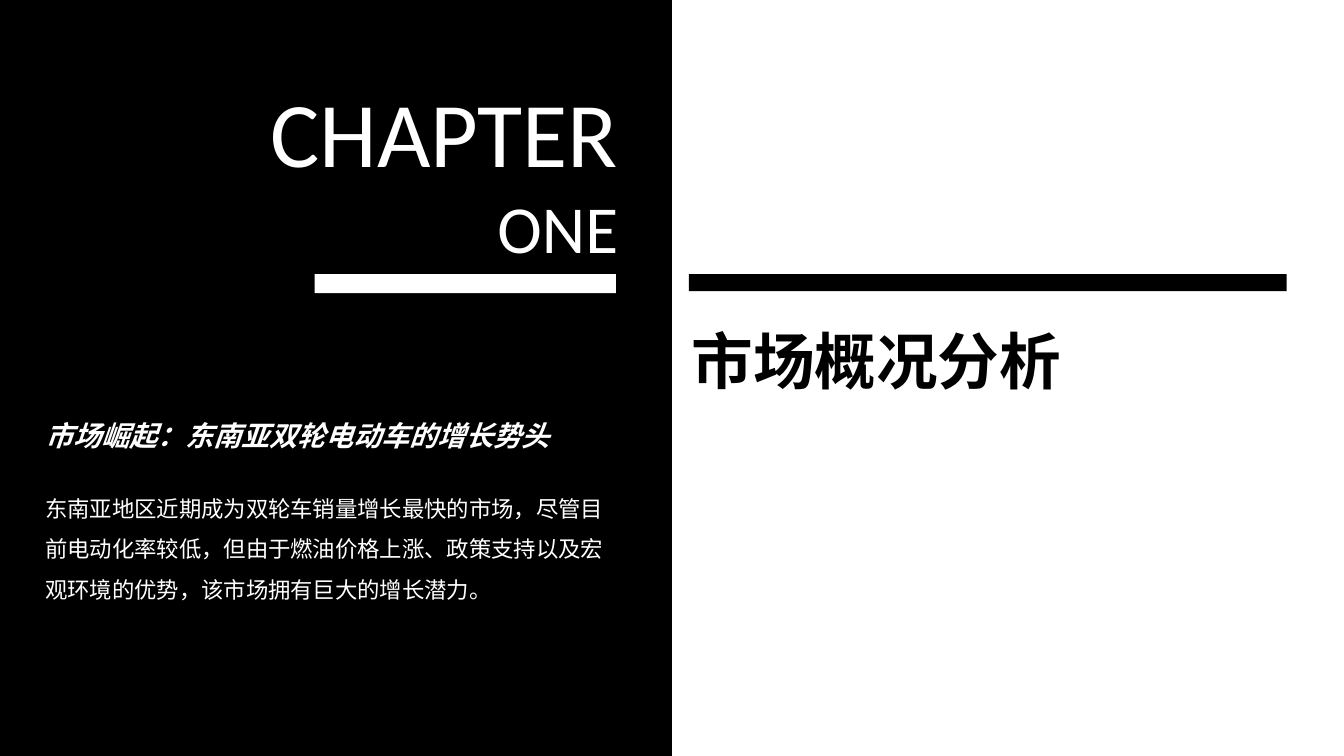
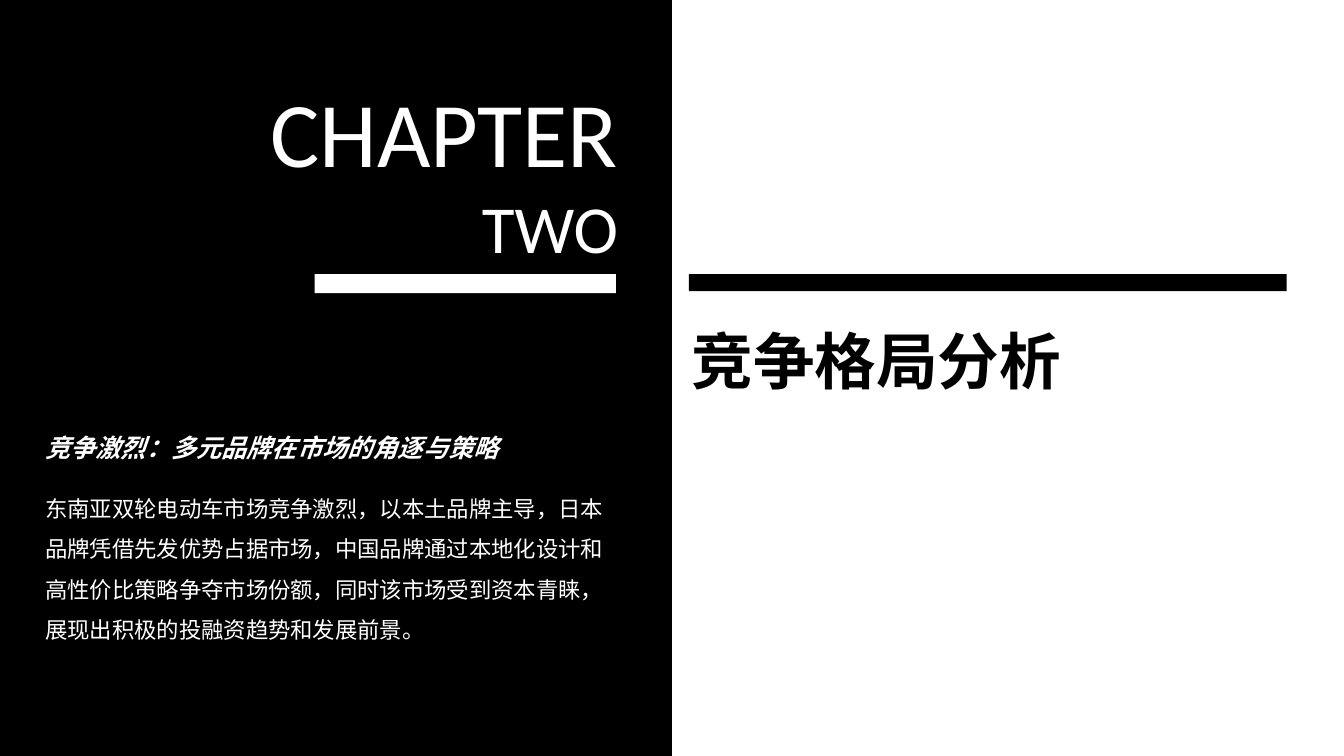
from lxml import etree
from pptx import Presentation
from pptx.dml.color import RGBColor
from pptx.enum import shapes, text
from pptx.oxml.ns import qn
from pptx.util import Pt

BLACK, WHITE = "000000", "FFFFFF"
LATIN, CJK = "Calibri", "Noto Sans CJK SC"
WIDTH, HEIGHT = 960, 540
RULE_TOP = 195.8
LEFT, RIGHT = text.PP_ALIGN.LEFT, text.PP_ALIGN.RIGHT
JUSTIFY = text.PP_ALIGN.JUSTIFY

CHAPTERS = [
    dict(number="ONE", title="市场概况分析",
         heading="市场崛起：东南亚双轮电动车的增长势头",
         heading_box=(25.2, 295.2, 393.1, 31.7), heading_size=20,
         summary="东南亚地区近期成为双轮车销量增长最快的市场，尽管目前电动化率较低，但由于燃油价格上涨、政策支持以及宏观环境的优势，该市场拥有巨大的增长潜力。",
         summary_height=91.4),
    dict(number="TWO", title="竞争格局分析",
         heading="竞争激烈：多元品牌在市场的角逐与策略",
         heading_box=(25.2, 305.3, 480, 28.8), heading_size=18,
         summary="东南亚双轮电动车市场竞争激烈，以本土品牌主导，日本品牌凭借先发优势占据市场，中国品牌通过本地化设计和高性价比策略争夺市场份额，同时该市场受到资本青睐，展现出积极的投融资趋势和发展前景。",
         summary_height=120.2),
]


def color(value):
    return RGBColor.from_string(value)


def add_rect(s, x, y, w, h, fill):
    sp = s.shapes.add_shape(shapes.MSO_SHAPE.RECTANGLE, Pt(x), Pt(y), Pt(w), Pt(h))
    sp.shadow.inherit = False
    sp.fill.solid()
    sp.fill.fore_color.rgb = color(fill)
    sp.line.fill.background()


def add_text(s, box, lines, sizes, fill=WHITE, font=CJK, bold=False,
             italic=False, align=LEFT, spacing=None):
    tf = s.shapes.add_textbox(*map(Pt, box)).text_frame
    tf.word_wrap = True
    tf.auto_size = text.MSO_AUTO_SIZE.SHAPE_TO_FIT_TEXT
    for i, (line, size) in enumerate(zip(lines, sizes)):
        p = tf.add_paragraph() if i else tf.paragraphs[0]
        p.alignment = align
        p.line_spacing = spacing
        r = p.add_run()
        r.text = line
        r.font.size = Pt(size)
        r.font.bold = bold
        r.font.italic = italic
        r.font.color.rgb = color(fill)
        r.font.name = font
        etree.SubElement(r.font._element, qn("a:ea"), typeface=font)


def add_chapter_panel(s, x, y, w, h, chapter):
    add_rect(s, x, y, w, h, BLACK)
    add_text(s, (x + 135.4, y + 50.4, 313.2, 145.4),
             ["CHAPTER", chapter["number"]], [66, 48], font=LATIN, align=RIGHT)
    add_rect(s, x + 224.8, y + RULE_TOP, 215.2, 13.7, WHITE)
    add_text(s, (x + 25.2, y + 340.6, 423.4, chapter["summary_height"]),
             [chapter["summary"]], [16], spacing=1.5)
    left, top, width, height = chapter["heading_box"]
    add_text(s, (x + left, y + top, width, height),
             [chapter["heading"]], [chapter["heading_size"]], bold=True, italic=True)


def add_title_panel(s, x, y, title):
    add_rect(s, x + 12, y + RULE_TOP, 427, 12.2, BLACK)
    add_text(s, (x + 6.8, y + 226.8, 440.6, 60.5), [title], [44],
             fill=BLACK, bold=True, align=JUSTIFY)


def add_chapter_slide(prs, chapter):
    s = prs.slides.add_slide(prs.slide_layouts[6])
    half = WIDTH / 2
    add_chapter_panel(s, 0, 0, half, HEIGHT, chapter)
    add_title_panel(s, half, 0, chapter["title"])


def main():
    prs = Presentation()
    prs.slide_width, prs.slide_height = Pt(WIDTH), Pt(HEIGHT)
    for chapter in CHAPTERS:
        add_chapter_slide(prs, chapter)
    prs.save("out.pptx")


if __name__ == "__main__":
    main()
